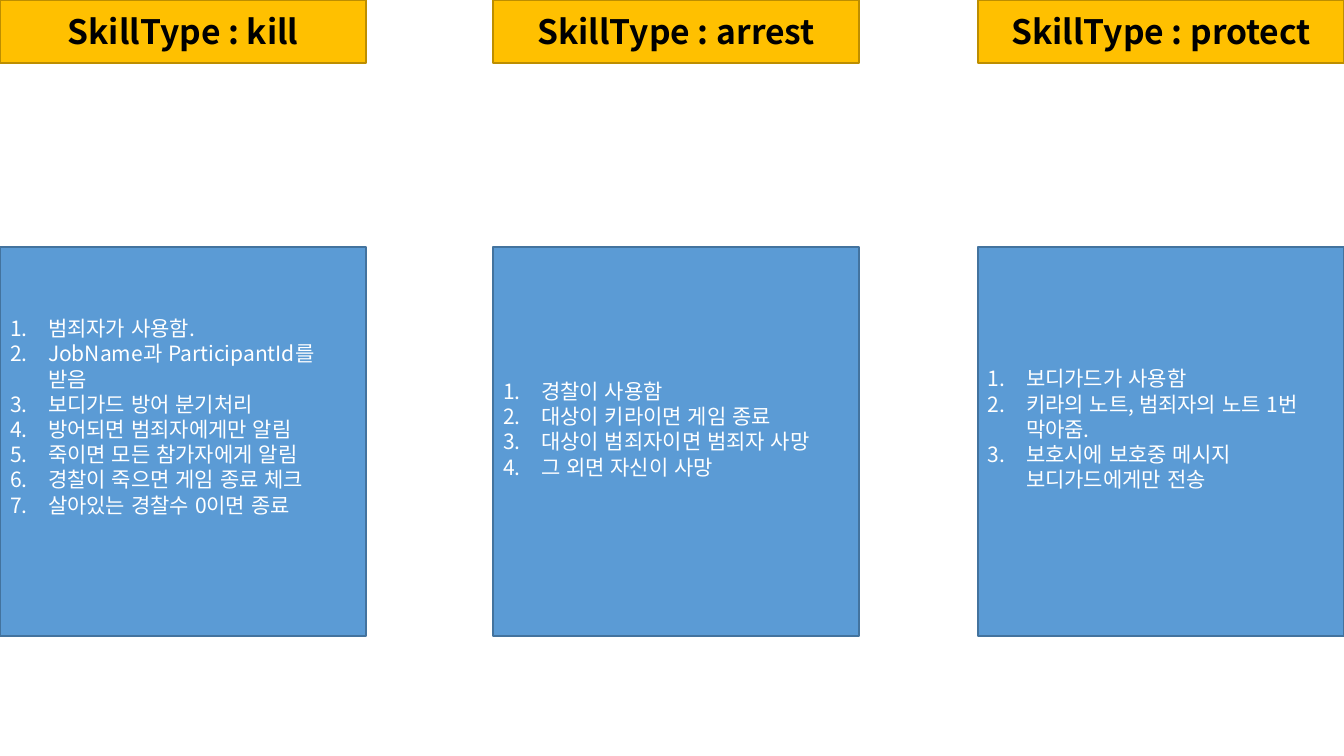
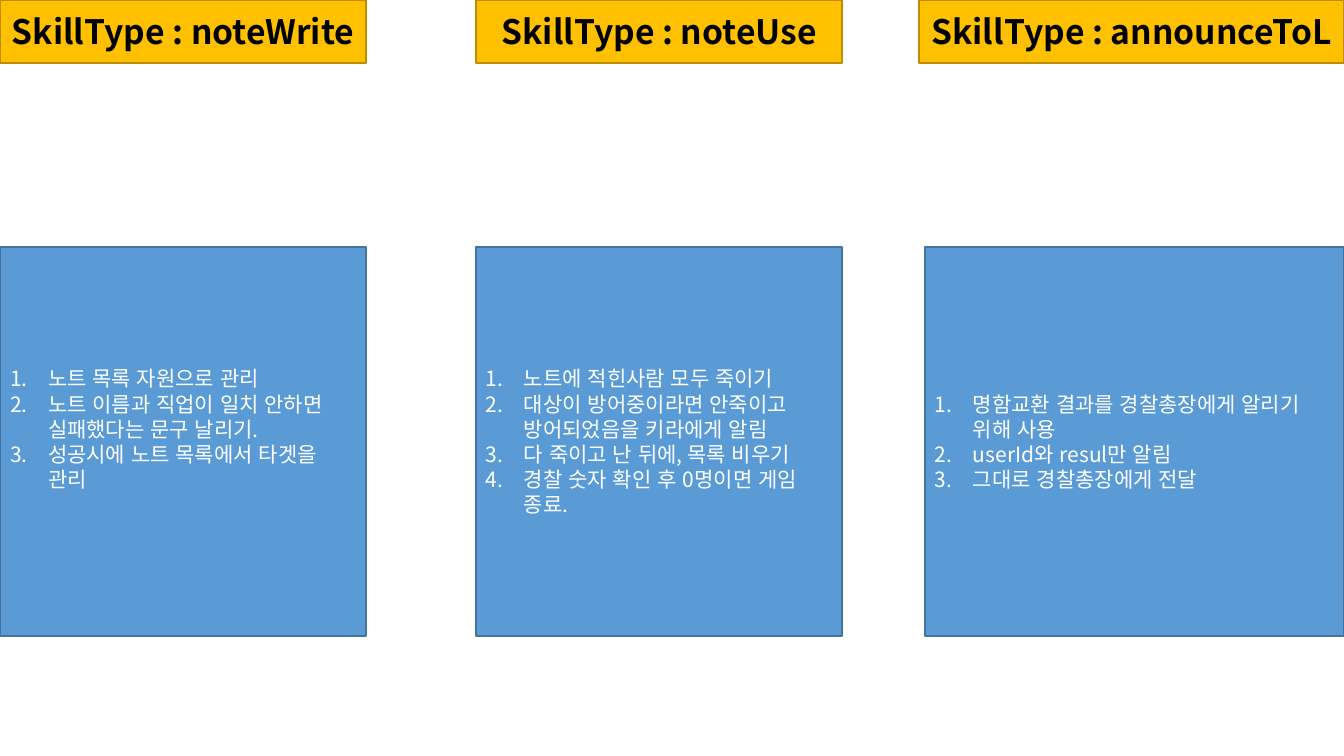
from dataclasses import dataclass

from lxml.etree import SubElement
from pptx import Presentation
from pptx.dml.color import RGBColor
from pptx.enum.lang import MSO_LANGUAGE_ID
from pptx.enum.shapes import MSO_SHAPE
from pptx.enum.text import MSO_ANCHOR, PP_ALIGN
from pptx.oxml.ns import qn
from pptx.util import Inches, Pt

# Each column: skill, left edge (None = flush right), head width, body width,
# blank lines kept free under the steps, steps
SLIDES = [
    [
        ("kill", 0, 366, 366, 2, [
            "범죄자가 사용함.",
            "JobName과 ParticipantId를 받음",
            "보디가드 방어 분기처리",
            "방어되면 범죄자에게만 알림",
            "죽이면 모든 참가자에게 알림",
            "경찰이 죽으면 게임 종료 체크",
            "살아있는 경찰수 0이면 종료",
        ]),
        ("arrest", 493, 366, 366, 1, [
            "경찰이 사용함",
            "대상이 키라이면 게임 종료",
            "대상이 범죄자이면 범죄자 사망",
            "그 외면 자신이 사망",
        ]),
        ("protect", None, 366, 366, 1, [
            "보디가드가 사용함",
            "키라의 노트, 범죄자의 노트 1번 막아줌.",
            "보호시에 보호중 메시지 보디가드에게만 전송",
        ]),
    ],
    [
        ("noteWrite", 0, 366, 366, 1, [
            "노트 목록 자원으로 관리",
            "노트 이름과 직업이 일치 안하면 실패했다는 문구 날리기.",
            "성공시에 노트 목록에서 타겟을 관리",
        ]),
        ("noteUse", 476, 366, 366, 0, [
            "노트에 적힌사람 모두 죽이기",
            "대상이 방어중이라면 안죽이고 방어되었음을 키라에게 알림",
            "다 죽이고 난 뒤에, 목록 비우기",
            "경찰 숫자 확인 후 0명이면 게임 종료.",
        ]),
        ("announceToL", None, 425, 419, 0, [
            "명함교환 결과를 경찰총장에게 알리기 위해 사용",
            "userId와 resul만 알림",
            "그대로 경찰총장에게 전달",
        ]),
    ],
]


@dataclass(frozen=True)
class BoxStyle:
    """Colours and type of one kind of box."""
    fill: str
    line: str
    text: str
    size: int
    bold: bool


@dataclass(frozen=True)
class Theme:
    """Everything the slides share."""
    font: str = "Noto Sans CJK KR"
    head: BoxStyle = BoxStyle("FFC000", "BD8E00", "000000", 24, True)
    body: BoxStyle = BoxStyle("5B9BD5", "43739E", "FFFFFF", 15, False)


THEME = Theme()
SLIDE_W, SLIDE_H = 1344, 756
HEAD_TOP, HEAD_H = 0, 63
BODY_TOP, BODY_H = 247, 389
INSET_X, INSET_Y = 10, 5
STEP_INDENT, STEP_LINE = 38, 25


def px(n):
    """Turn pixels into EMU."""
    return Inches(n / 100.8)


def add_box(s, style, x, y, w, h):
    """Add a filled rectangle and return its text frame."""
    sp = s.shapes.add_shape(MSO_SHAPE.RECTANGLE, px(x), px(y), px(w), px(h))
    sp.shadow.inherit = False
    sp.fill.solid()
    sp.fill.fore_color.rgb = RGBColor.from_string(style.fill)
    sp.line.color.rgb = RGBColor.from_string(style.line)
    sp.line.width = Pt(1)
    tf = sp.text_frame
    tf.word_wrap = True
    tf.vertical_anchor = MSO_ANCHOR.MIDDLE
    tf.margin_left = tf.margin_right = px(INSET_X)
    tf.margin_top = tf.margin_bottom = px(INSET_Y)
    return tf


def add_run(p, text, style):
    """Add one run in the style's type, for Latin and Korean alike."""
    r = p.add_run()
    r.text = text
    r.font.size = Pt(style.size)
    r.font.bold = style.bold
    r.font.color.rgb = RGBColor.from_string(style.text)
    r.font.name = THEME.font
    r.font.language_id = MSO_LANGUAGE_ID.KOREAN
    SubElement(r.font._element, qn("a:ea"), typeface=THEME.font)


def number(p):
    """Give a paragraph an automatic number and a hanging indent."""
    pPr = p._p.get_or_add_pPr()
    pPr.set("marL", str(px(STEP_INDENT)))
    pPr.set("indent", str(-px(STEP_INDENT)))
    SubElement(pPr, qn("a:buFont"), typeface="+mj-lt")
    SubElement(pPr, qn("a:buAutoNum"), type="arabicPeriod")


def add_head(s, skill, x, w):
    """Add the yellow heading of a column."""
    tf = add_box(s, THEME.head, x, HEAD_TOP, w, HEAD_H)
    p = tf.paragraphs[0]
    p.alignment = PP_ALIGN.CENTER
    add_run(p, f"SkillType : {skill}", THEME.head)


def add_steps(s, steps, x, w, free_lines):
    """Add the blue box with its numbered steps."""
    tf = add_box(s, THEME.body, x, BODY_TOP, w, BODY_H)
    tf.margin_bottom = px(INSET_Y + free_lines * STEP_LINE)
    for i, step in enumerate(steps):
        p = tf.add_paragraph() if i else tf.paragraphs[0]
        p.alignment = PP_ALIGN.LEFT
        number(p)
        add_run(p, step, THEME.body)


def add_column(s, skill, left, head_w, body_w, free_lines, steps):
    """Add one skill: heading and steps, flush right if left is None."""
    head_x, body_x = (SLIDE_W - w if left is None else left
                      for w in (head_w, body_w))
    add_head(s, skill, head_x, head_w)
    add_steps(s, steps, body_x, body_w, free_lines)


prs = Presentation()
prs.slide_width, prs.slide_height = px(SLIDE_W), px(SLIDE_H)
for columns in SLIDES:
    s = prs.slides.add_slide(prs.slide_layouts[6])
    for column in columns:
        add_column(s, *column)
prs.save("out.pptx")
